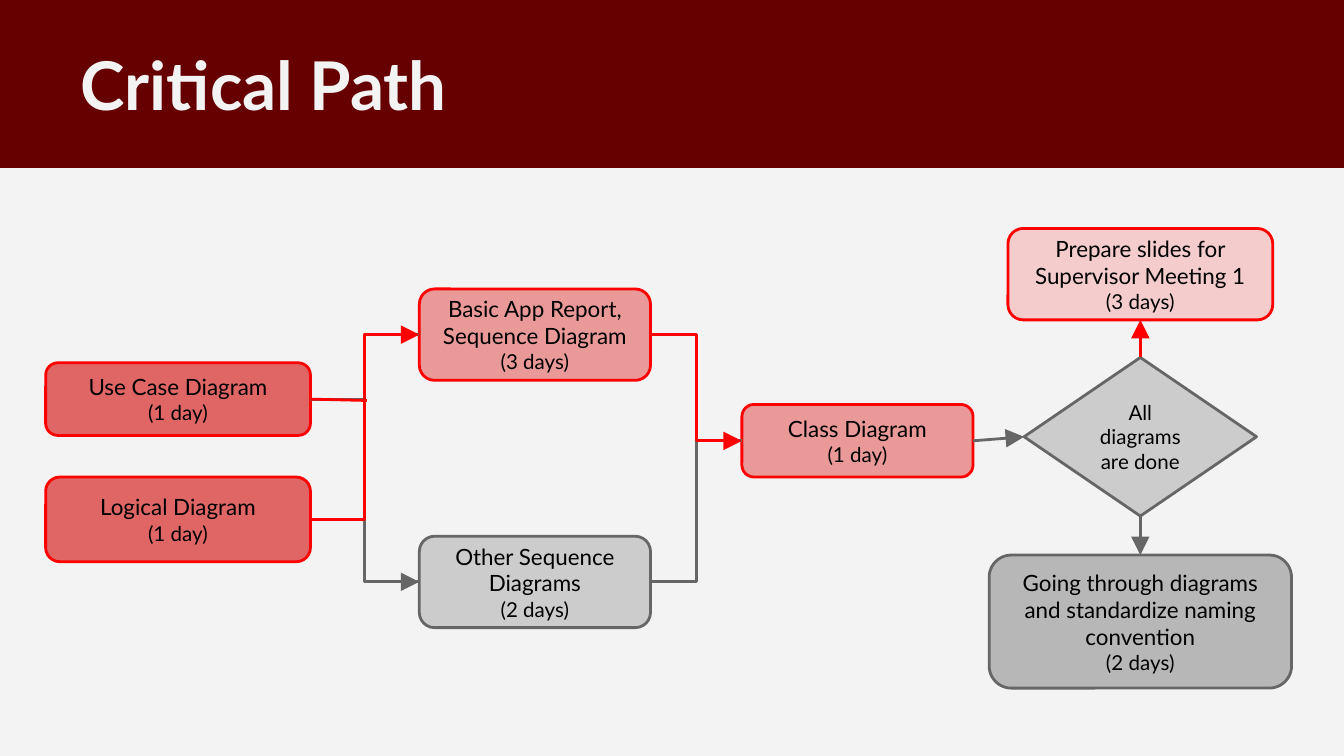
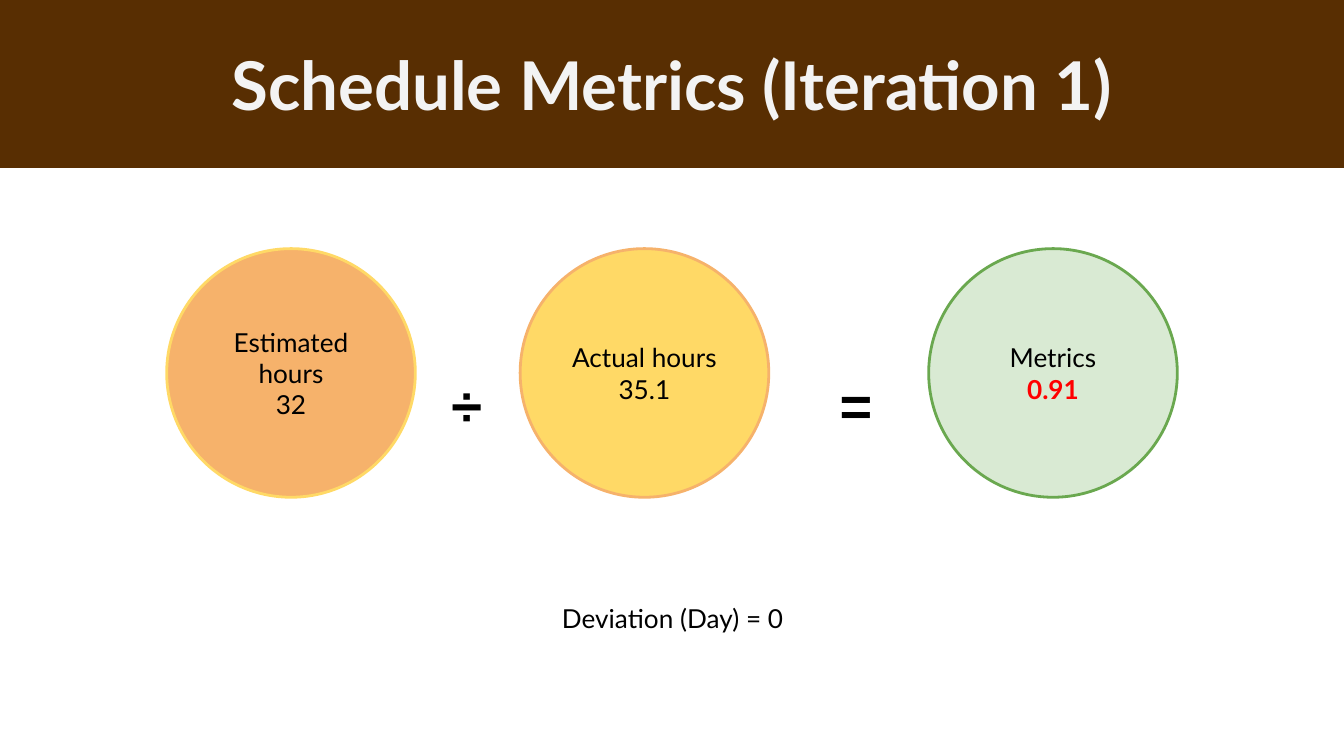
from dataclasses import dataclass

from lxml import etree
from pptx import Presentation
from pptx.dml.color import RGBColor
from pptx.enum import shapes, text
from pptx.oxml import ns
from pptx.util import Inches, Pt

KIND = shapes.MSO_SHAPE
LINK = shapes.MSO_CONNECTOR
ALIGN = text.PP_ALIGN
ANCHOR = text.MSO_ANCHOR
# Connection sites, shared by boxes and diamonds
TOP, LEFT, BOTTOM, RIGHT = range(4)


@dataclass(frozen=True)
class Theme:
    font: str = "Lato"
    sign_font: str = "Arial"
    head: int = 36
    sign: int = 30
    body: int = 14
    task: int = 12
    note: int = 11
    line: float = 1.5
    inset: float = 0.1
    black: str = "000000"
    pale: str = "F3F3F3"
    maroon: str = "660000"
    brown: str = "582E02"
    red: str = "FF0000"
    red_deep: str = "E06666"
    red_mid: str = "EA9999"
    red_pale: str = "F4CCCC"
    gray: str = "666666"
    gray_mid: str = "B7B7B7"
    gray_pale: str = "CCCCCC"
    orange: str = "F6B26B"
    yellow: str = "FFD966"
    green: str = "6AA84F"
    mint: str = "D9EAD3"


T = Theme()


def rgb(code):
    return RGBColor.from_string(code)


def style(para, size, color=T.black, bold=False, font=T.font):
    para.font.name = font
    para.font.size = Pt(size)
    para.font.bold = bold
    para.font.color.rgb = rgb(color)


def write(shape, rows, align=ALIGN.CENTER, anchor=ANCHOR.MIDDLE):
    """Fill a shape with rows of (words, size, colour, bold)."""
    frame = shape.text_frame
    frame.word_wrap = True
    frame.vertical_anchor = anchor
    frame.margin_left = frame.margin_right = Inches(T.inset)
    frame.margin_top = frame.margin_bottom = Inches(T.inset)
    for i, (words, *look) in enumerate(rows):
        para = frame.add_paragraph() if i else frame.paragraphs[0]
        para.text = words
        para.alignment = align
        style(para, *look)


def label(slide, at, rows, **opts):
    box = slide.shapes.add_textbox(*map(Inches, at))
    write(box, rows, **opts)
    return box


def block(slide, kind, at, fill, edge=None, rows=()):
    shape = slide.shapes.add_shape(kind, *map(Inches, at))
    shape.shadow.inherit = False
    shape.fill.solid()
    shape.fill.fore_color.rgb = rgb(fill)
    if edge:
        shape.line.color.rgb = rgb(edge)
        shape.line.width = Pt(T.line)
    else:
        shape.line.fill.background()
    if rows:
        write(shape, rows)
    return shape


def task(slide, at, fill, edge, name, days):
    rows = [(name, T.task), (days, T.note)]
    return block(slide, KIND.ROUNDED_RECTANGLE, at, fill, edge, rows)


def circle(slide, left, fill, edge, name, value, *look):
    rows = [(name, T.body), (value, T.body, *look)]
    block(slide, KIND.OVAL, (left, 1.85, 1.85, 1.85), fill, edge, rows)


def line(slide, kind, ends, color, arrow=False):
    link = slide.shapes.add_connector(kind, *map(Inches, ends))
    link.line.color.rgb = rgb(color)
    link.line.width = Pt(T.line)
    if arrow:
        outline = link._element.spPr.find(ns.qn("a:ln"))
        etree.SubElement(outline, ns.qn("a:tailEnd"),
                         type="triangle", w="lg", len="lg")
    etree.SubElement(link._element.spPr, ns.qn("a:effectLst"))
    return link


def join(slide, start, end, color, arrow=True, sites=(RIGHT, LEFT), kind=LINK.ELBOW):
    link = line(slide, kind, (0, 0, 0, 0), color, arrow)
    link.begin_connect(start, sites[0])
    link.end_connect(end, sites[1])


def header(slide, title, color, align):
    block(slide, KIND.RECTANGLE, (0, -0.01, 10, 1.26), color)
    label(slide, (0.5, 0.15, 9, 0.94), [(title, T.head, T.pale, True)], align=align)


def critical(slide):
    block(slide, KIND.RECTANGLE, (0, 1.25, 10, 4.38), T.pale)
    header(slide, "Critical Path", T.maroon, ALIGN.LEFT)

    # Tasks
    case = task(slide, (0.34, 2.7, 1.97, 0.54), T.red_deep, T.red,
                "Use Case Diagram", "(1 day)")
    logic = task(slide, (0.34, 3.55, 1.97, 0.63), T.red_deep, T.red,
                 "Logical Diagram", "(1 day)")
    basic = task(slide, (3.12, 2.15, 1.72, 0.68), T.red_mid, T.red,
                 "Basic App Report, Sequence Diagram", "(3 days)")
    model = task(slide, (5.52, 3.01, 1.72, 0.54), T.red_mid, T.red,
                 "Class Diagram", "(1 day)")
    meet = task(slide, (7.5, 1.7, 1.97, 0.68), T.red_pale, T.red,
                "Prepare slides for Supervisor Meeting 1", "(3 days)")
    other = task(slide, (3.12, 3.99, 1.72, 0.68), T.gray_pale, T.gray,
                 "Other Sequence Diagrams", "(2 days)")
    naming = task(slide, (7.36, 4.13, 2.25, 0.99), T.gray_mid, T.gray,
                  "Going through diagrams and standardize naming convention",
                  "(2 days)")
    done = block(slide, KIND.DIAMOND, (7.62, 2.66, 1.73, 1.18), T.gray_pale,
                 T.gray, [("All diagrams are done", T.note)])

    # Links, with the critical ones on top
    join(slide, other, logic, T.gray, False, (LEFT, RIGHT))
    join(slide, case, basic, T.gray, False)
    join(slide, case, other, T.gray)
    join(slide, logic, basic, T.red)
    join(slide, other, model, T.gray, False)
    join(slide, basic, model, T.red)
    join(slide, done, meet, T.red, True, (TOP, BOTTOM), LINK.STRAIGHT)
    join(slide, done, naming, T.gray, True, (BOTTOM, TOP), LINK.STRAIGHT)
    join(slide, model, done, T.gray, kind=LINK.STRAIGHT)
    line(slide, LINK.STRAIGHT, (2.31, 2.97, 2.73, 2.98), T.red)


def metrics(slide):
    header(slide, "Schedule Metrics (Iteration 1)", T.brown, ALIGN.CENTER)

    # Operators, set apart by a tab stop
    signs = label(slide, (3.26, 2.41, 3.54, 0.73), [], anchor=ANCHOR.TOP)
    para = signs.text_frame.paragraphs[0]
    para.text = "÷\t="
    para.line_spacing = 1.5
    tabs = etree.SubElement(para._p.get_or_add_pPr(), ns.qn("a:tabLst"))
    etree.SubElement(tabs, ns.qn("a:tab"), pos=str(Inches(2.89)), algn="l")
    style(para, T.sign, bold=True, font=T.sign_font)

    # Values
    circle(slide, 1.24, T.orange, T.yellow, "Estimated hours", "32")
    circle(slide, 3.87, T.yellow, T.orange, "Actual hours", "35.1")
    circle(slide, 6.91, T.mint, T.green, "Metrics", "0.91", T.red, True)
    label(slide, (3.97, 4.38, 2.07, 0.48), [("Deviation (Day) = 0", T.body)],
          anchor=ANCHOR.TOP)


def main():
    deck = Presentation()
    # Widescreen, 16 to 9
    deck.slide_width = Inches(10)
    deck.slide_height = Inches(10) * 9 // 16
    for build in (critical, metrics):
        build(deck.slides.add_slide(deck.slide_layouts[6]))
    deck.save("out.pptx")


if __name__ == "__main__":
    main()
